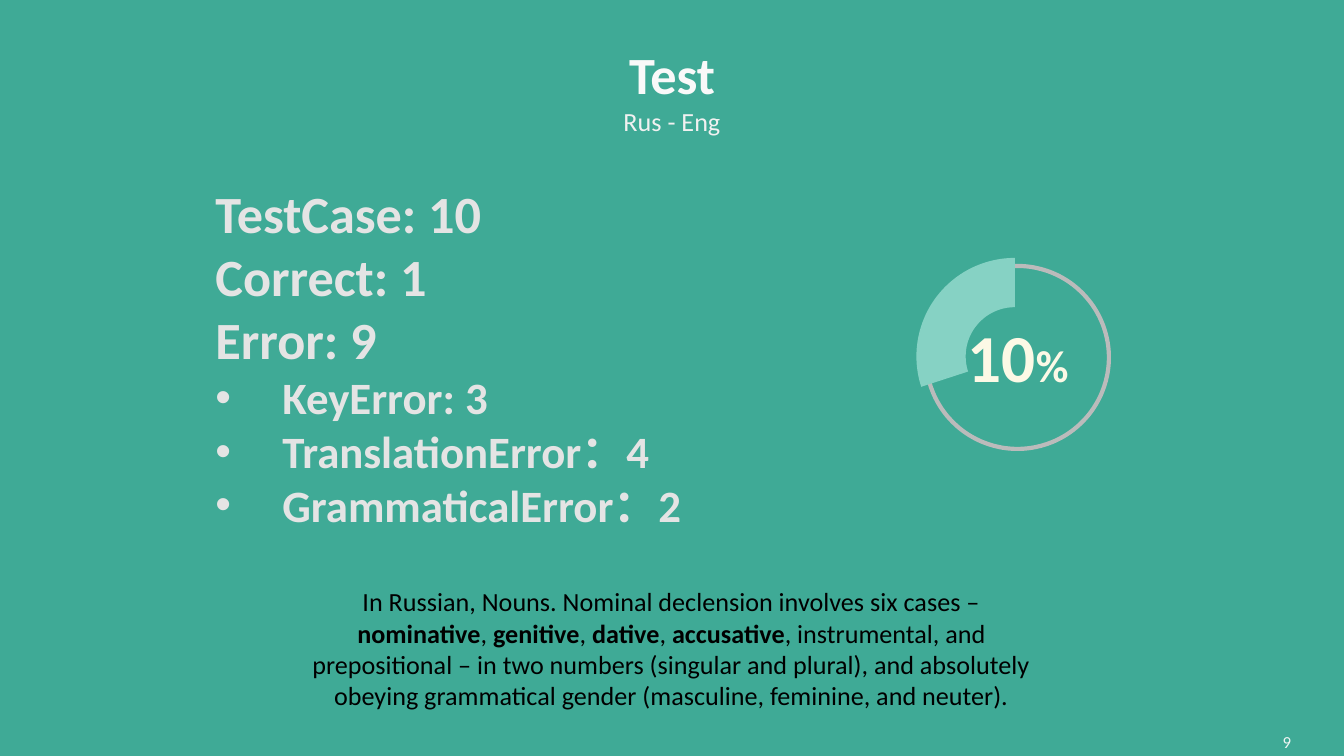
import lxml.etree
import pptx
import pptx.chart.data
import pptx.dml.color
import pptx.enum.chart
import pptx.enum.shapes
import pptx.enum.text
import pptx.oxml
import pptx.oxml.ns
import pptx.util

PX = 914400 / 134.4
CENTER = pptx.enum.text.PP_ALIGN.CENTER
LEFT = pptx.enum.text.PP_ALIGN.LEFT
TOP = pptx.enum.text.MSO_ANCHOR.TOP
MIDDLE = pptx.enum.text.MSO_ANCHOR.MIDDLE


def rgb(color):
    return pptx.dml.color.RGBColor.from_string(color)


def add_run(p, text, size=14, color="000000", bold=False, align=CENTER):
    """Append formatted text to a paragraph and align that paragraph."""
    p.alignment = align
    p.space_before = pptx.util.Pt(0)
    r = p.add_run()
    r.text = text
    r.font.name = "Calibri"
    r.font.size = pptx.util.Pt(size)
    r.font.bold = bold
    r.font.color.rgb = rgb(color)


prs = pptx.Presentation()
prs.slide_width, prs.slide_height = round(1344 * PX), round(756 * PX)
s = prs.slides.add_slide(prs.slide_layouts[1])
s.background.fill.solid()
s.background.fill.fore_color.rgb = rgb("3FAA96")

# Ring and chart share one centre
ring = s.shapes.add_shape(
    pptx.enum.shapes.MSO_SHAPE.OVAL, *[round(v * PX) for v in (926, 266, 183, 183)])
ring.shadow.inherit = False
ring.fill.background()
ring.line.color.rgb = rgb("BBBBBB")
ring.line.width = pptx.util.Pt(2.25)

data = pptx.chart.data.CategoryChartData()
data.categories = ["1", "2"]
data.add_series("Series 1", [70, 30])
chart = s.shapes.add_chart(
    pptx.enum.chart.XL_CHART_TYPE.DOUGHNUT,
    *[round(v * PX) for v in (839, 239, 352, 235)], data).chart
chart.has_legend = False
chart.has_title = False
chart.font.name = "Calibri"
chart.font.size = pptx.util.Pt(10)
chart.font.color.rgb = rgb("BBBBBB")
plot = chart.plots[0]
plot.vary_by_categories = False
rest, share = [plot.series[0].points[i].format for i in range(2)]
rest.fill.background()
share.fill.solid()
share.fill.fore_color.rgb = rgb("86D2C4")
for part in (rest, share):
    part.line.fill.background()

qn = pptx.oxml.ns.qn
area = chart.element.find(".//" + qn("c:plotArea"))
hole = area.find(".//" + qn("c:holeSize"))
if hole is None:
    hole = lxml.etree.SubElement(area.find(qn("c:doughnutChart")), qn("c:holeSize"))
hole.set("val", "90")
for old in area.findall(qn("c:layout")):
    area.remove(old)
layout = lxml.etree.Element(qn("c:layout"))
manual = lxml.etree.SubElement(layout, qn("c:manualLayout"))
for tag, val in (("layoutTarget", "inner"), ("xMode", "edge"), ("yMode", "edge"),
                 ("x", "0.22"), ("y", "0.08"), ("w", "0.56"), ("h", "0.84")):
    lxml.etree.SubElement(manual, qn("c:" + tag)).set("val", val)
area.insert(0, layout)

# Text frames
title, body = s.shapes.title, s.placeholders[1]
note, percent, number = [s.shapes.add_textbox(0, 0, 0, 0) for _ in range(3)]
for sp, box, anchor in (
    (title, (265, 36, 814, 109), TOP),
    (body, (202, 175, 550, 407), TOP),
    (note, (286, 579, 771, 30), TOP),
    (percent, (913, 309, 210, 95), TOP),
    (number, (1234, 716, 106, 52), MIDDLE),
):
    sp.left, sp.top, sp.width, sp.height = [round(v * PX) for v in box]
    tf = sp.text_frame
    tf.word_wrap = True
    tf.auto_size = pptx.enum.text.MSO_AUTO_SIZE.NONE
    tf.vertical_anchor = anchor

tf = title.text_frame
add_run(tf.paragraphs[0], "Test", size=28, color="F9F9F9", bold=True)
add_run(tf.add_paragraph(), "Rus - Eng", color="F1F1F1")

tf = body.text_frame
for i, (text, bulleted) in enumerate((
    ("TestCase: 10", False),
    ("Correct: 1", False),
    ("Error: 9", False),
    ("KeyError: 3", True),
    ("TranslationError：4", True),
    ("GrammaticalError：2", True),
)):
    p = tf.add_paragraph() if i else tf.paragraphs[0]
    add_run(p, text, size=24 if bulleted else 28, color="E4E4E4", bold=True, align=LEFT)
    indent = round(67 * PX) if bulleted else 0
    pPr = p._p.get_or_add_pPr()
    pPr.set("marL", str(indent))
    pPr.set("indent", str(-indent))
    if bulleted:
        lxml.etree.SubElement(pPr, qn("a:buChar")).set("char", "•")
    else:
        lxml.etree.SubElement(pPr, qn("a:buNone"))

p = note.text_frame.paragraphs[0]
add_run(p, "In Russian, Nouns. Nominal declension involves six cases – ")
for i, case in enumerate(("nominative", "genitive", "dative", "accusative")):
    if i:
        add_run(p, ", ")
    add_run(p, case, bold=True)
add_run(p, ", instrumental, and prepositional – in two numbers (singular and plural), "
           "and absolutely obeying grammatical gender (masculine, feminine, and neuter).")

p = percent.text_frame.paragraphs[0]
add_run(p, "10", size=36, color="FCF9E6", bold=True)
add_run(p, "%", size=24, color="FCF9E6", bold=True)

add_run(number.text_frame.paragraphs[0], "9", size=9, color="F0F6F4")

prs.save("out.pptx")
